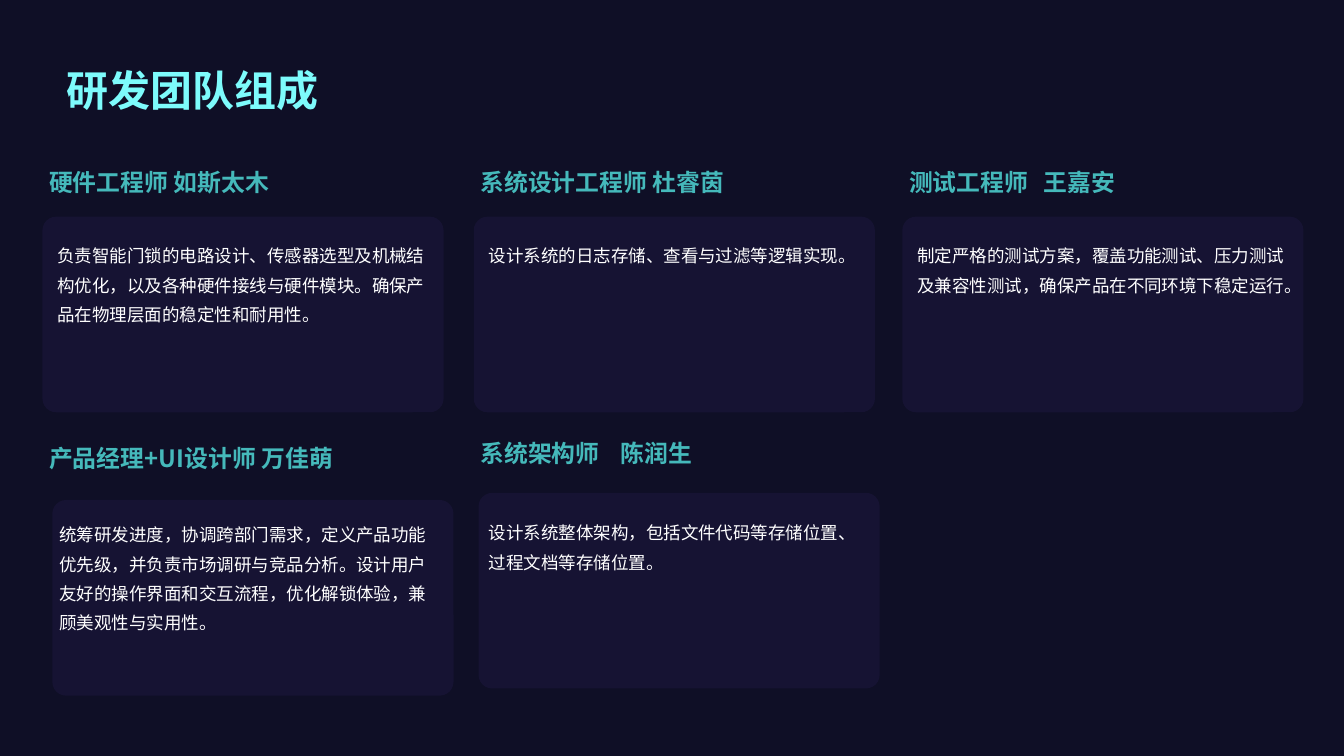
from lxml import etree
from pptx import Presentation
from pptx import util as u
from pptx.dml.color import RGBColor
from pptx.enum import shapes, text
from pptx.oxml.ns import qn

FONT = "Noto Sans CJK SC"
BACKGROUND, PANEL = "0F0F26", "1C173C"
TITLE, HEADING, BODY = "7DFBFC", "45B9BB", "FFFFFF"
COLUMNS = (0.99, 11.86, 22.66)  # left edges of the cards, in cm
PANEL_OFFSET, BODY_OFFSET = (0.08, 1.37), (0.28, 1.78)

# Role, name, tab stop between them (None: a space), left, top, duty, offsets
MEMBERS = [
    ("硬件工程师", "如斯太木", None, COLUMNS[0], 4.09,
     "负责智能门锁的电路设计、传感器选型及机械结构优化，以及各种硬件接线与硬件模块。"
     "确保产品在物理层面的稳定性和耐用性。", PANEL_OFFSET, BODY_OFFSET),
    ("系统设计工程师", "杜睿茵", None, COLUMNS[1], 4.09,
     "设计系统的日志存储、查看与过滤等逻辑实现。", PANEL_OFFSET, BODY_OFFSET),
    ("测试工程师", "王嘉安", 3.4, COLUMNS[2], 4.09,
     "制定严格的测试方案，覆盖功能测试、压力测试及兼容性测试，确保产品在不同环境下稳定运行。",
     PANEL_OFFSET, BODY_OFFSET),
    ("产品经理+UI设计师", "万佳萌", None, COLUMNS[0], 11.05,
     "统筹研发进度，协调跨部门需求，定义产品功能优先级，并负责市场调研与竞品分析。"
     "设计用户友好的操作界面和交互流程，优化解锁体验，兼顾美观性与实用性。",
     (0.33, 1.55), (0.33, 1.85)),
    ("系统架构师", "陈润生", 3.53, COLUMNS[1], 10.92,
     "设计系统整体架构，包括文件代码等存储位置、过程文档等存储位置。",
     (0.2, 1.5), (0.28, 1.93)),
]


def color(value):
    return RGBColor.from_string(value)


def add_text(slide, box, content, size, ink, bold=False, insets=(0.25, 0.13, 0.25, 0.13),
             spacing=None, anchor=text.MSO_ANCHOR.TOP, tab=None):
    """Place one paragraph in box (left, top, width, height in cm)."""
    frame = slide.shapes.add_textbox(*map(u.Cm, box)).text_frame
    frame.word_wrap = True
    frame.vertical_anchor = anchor
    (frame.margin_left, frame.margin_top,
     frame.margin_right, frame.margin_bottom) = map(u.Cm, insets)
    paragraph = frame.paragraphs[0]
    if spacing:
        paragraph.line_spacing = spacing
    if tab:
        tabs = etree.SubElement(paragraph._p.get_or_add_pPr(), qn("a:tabLst"))
        etree.SubElement(tabs, qn("a:tab"), pos=str(u.Cm(tab)), algn="l")
    run = paragraph.add_run()
    run.text = content
    run.font.size = u.Pt(size)
    run.font.bold = bold
    run.font.color.rgb = color(ink)
    run.font.name = FONT
    etree.SubElement(run._r.get_or_add_rPr(), qn("a:ea"), typeface=FONT)


def add_title(slide, box):
    add_text(slide, box, "研发团队组成", 30, TITLE, bold=True, spacing=1.4,
             insets=(0.36, 0.36, 0.15, 0.36), anchor=text.MSO_ANCHOR.MIDDLE)


def add_panel(slide, box):
    panel = slide.shapes.add_shape(shapes.MSO_SHAPE.ROUNDED_RECTANGLE, *map(u.Cm, box))
    panel.adjustments[0] = 0.07
    panel.shadow.inherit = False
    panel.line.fill.background()
    panel.fill.solid()
    panel.fill.fore_color.rgb = color(PANEL)
    fill_color = panel._element.spPr.find(qn("a:solidFill"))[0]
    etree.SubElement(fill_color, qn("a:alpha"), val="61000")


def add_member(slide, role, name, tab, left, top, duty, panel_offset, body_offset):
    # Panel behind the duty
    add_panel(slide, (left + panel_offset[0], top + panel_offset[1], 10.11, 4.93))
    # Duty
    add_text(slide, (left + body_offset[0], top + body_offset[1], 9.73, 3.84),
             duty, 12.5, BODY, insets=(0.18, 0.1, 0.18, 0.1), spacing=1.4)
    # Role and name
    separator = "\t" if tab else " "
    add_text(slide, (left, top, 10.24, 1.55), role + separator + name,
             17, HEADING, bold=True, tab=tab)


def main():
    presentation = Presentation()
    presentation.slide_width, presentation.slide_height = u.Cm(33.87), u.Cm(19.05)
    slide = presentation.slides.add_slide(presentation.slide_layouts[6])
    slide.background.fill.solid()
    slide.background.fill.fore_color.rgb = color(BACKGROUND)
    add_title(slide, (1.32, 0.74, 31.22, 2.54))
    for member in MEMBERS:
        add_member(slide, *member)
    presentation.save("out.pptx")


if __name__ == "__main__":
    main()
